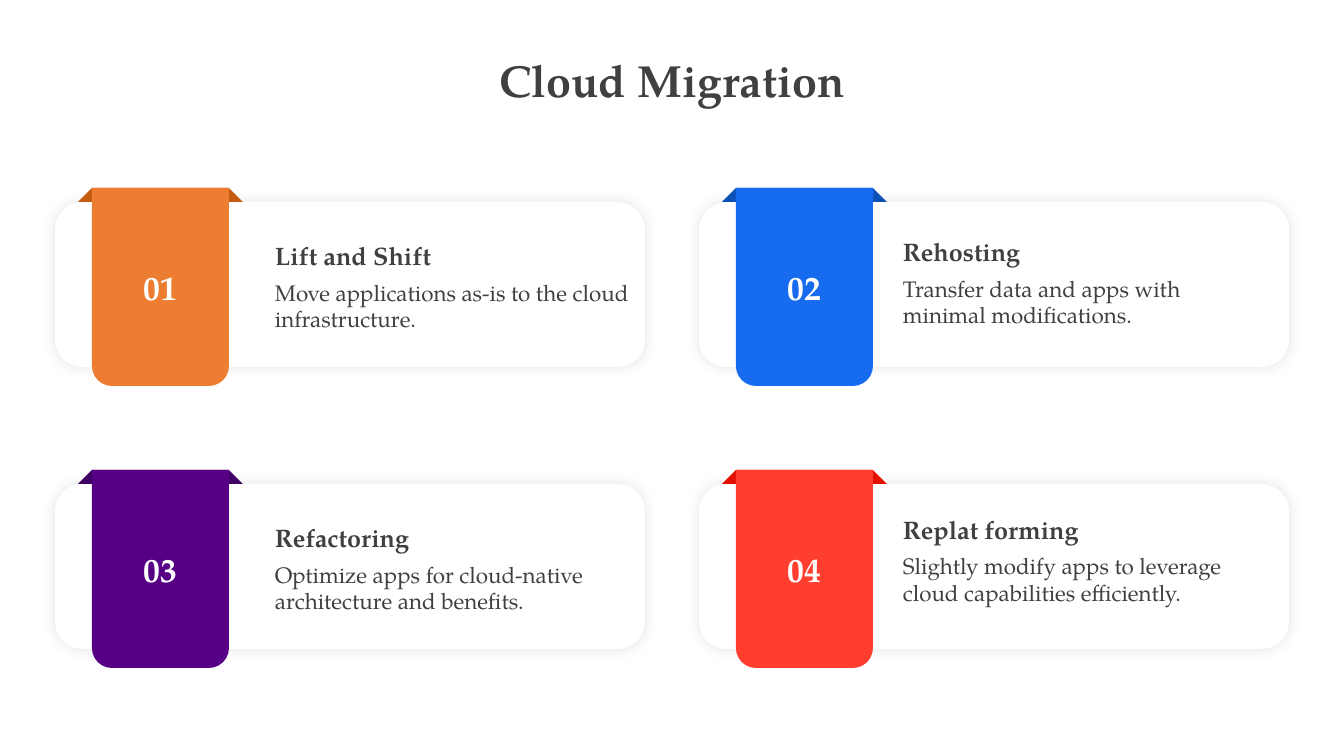
from dataclasses import dataclass

from lxml.etree import SubElement
from pptx import Presentation
from pptx.dml.color import RGBColor
from pptx.enum.shapes import MSO_SHAPE
from pptx.enum.text import MSO_ANCHOR, MSO_AUTO_SIZE, PP_ALIGN
from pptx.oxml.ns import qn
from pptx.shapes.autoshape import Shape
from pptx.slide import Slide
from pptx.text.text import TextFrame
from pptx.util import Emu, Pt

FONT = "TeX Gyre Pagella"
COLORS = {
    "text": "404040", "white": "FFFFFF", "shade": "000000",
    "orange": "ED7D31", "rust": "C55A11",
    "blue": "176BEF", "navy": "0D4FB8",
    "purple": "560086", "plum": "400065",
    "red": "FF3E30", "crimson": "E30F00",
}
WIDE, HIGH = 1344, 756
LEFT, TOP = 55, 202
STEP_X, STEP_Y = 644, 282
CARD_W, CARD_H = 590, 165
BAND_X, BAND_W, BAND_H = 37, 137, 198
FOLD = 14
ROUND = 20


@dataclass(frozen=True)
class Card:
    head: str
    body: str
    fill: str
    fold: str
    text_x: int
    text_y: int


CARDS = [
    Card("Lift and Shift", "Move applications as-is to the cloud infrastructure.",
         "orange", "rust", 210, 33),
    Card("Rehosting", "Transfer data and apps with minimal modifications.",
         "blue", "navy", 194, 29),
    Card("Refactoring", "Optimize apps for cloud-native architecture and benefits.",
         "purple", "plum", 210, 33),
    Card("Replat forming", "Slightly modify apps to leverage cloud capabilities efficiently.",
         "red", "crimson", 194, 25),
]


def px(size: int) -> Emu:
    return Emu(round(size * 914400 / 100.8))


def add_form(slide: Slide, kind: MSO_SHAPE, x: int, y: int, w: int, h: int,
             color: str) -> Shape:
    form = slide.shapes.add_shape(kind, px(x), px(y), px(w), px(h))
    form.shadow.inherit = False
    form.fill.solid()
    form.fill.fore_color.rgb = RGBColor.from_string(COLORS[color])
    form.line.fill.background()
    return form


def add_glow(form: Shape) -> None:
    """Put a soft, centred shadow round the form."""
    effects = form._element.spPr.find(qn("a:effectLst"))
    shadow = SubElement(effects, qn("a:outerShdw"), blurRad=str(Pt(10)),
                        dist="0", algn="ctr", rotWithShape="0")
    color = SubElement(shadow, qn("a:srgbClr"), val=COLORS["shade"])
    SubElement(color, qn("a:alpha"), val="10000")


def write(frame: TextFrame, lines: list[tuple[str, int, bool]], color: str = "text",
          align: PP_ALIGN = PP_ALIGN.LEFT) -> None:
    """Fill the frame with one paragraph for each (text, size, bold)."""
    for i, (text, size, bold) in enumerate(lines):
        para = frame.add_paragraph() if i else frame.paragraphs[0]
        para.text = text
        para.alignment = align
        para.font.name = FONT
        para.font.size = Pt(size)
        para.font.bold = bold
        para.font.color.rgb = RGBColor.from_string(COLORS[color])
        if i < len(lines) - 1:
            para.space_after = Pt(6)


def add_text(slide: Slide, x: int, y: int, w: int, h: int) -> TextFrame:
    frame = slide.shapes.add_textbox(px(x), px(y), px(w), px(h)).text_frame
    frame.word_wrap = True
    frame.auto_size = MSO_AUTO_SIZE.SHAPE_TO_FIT_TEXT
    return frame


def add_card(slide: Slide, card: Card, index: int) -> None:
    row, col = divmod(index, 2)
    x, y = LEFT + col * STEP_X, TOP + row * STEP_Y
    add_glow(add_form(slide, MSO_SHAPE.ROUNDED_RECTANGLE, x, y, CARD_W, CARD_H, "white"))

    band_x, band_y = x + BAND_X, y - FOLD
    fold = add_form(slide, MSO_SHAPE.TRAPEZOID, band_x - FOLD, band_y,
                    BAND_W + 2 * FOLD, FOLD, card.fold)
    fold.adjustments[0] = 1

    band = add_form(slide, MSO_SHAPE.ROUND_2_SAME_RECTANGLE, band_x, band_y,
                    BAND_W, BAND_H, card.fill)
    band.adjustments[0] = 0
    band.adjustments[1] = ROUND / BAND_W
    frame = band.text_frame
    frame.vertical_anchor = MSO_ANCHOR.MIDDLE
    frame.margin_top, frame.margin_bottom = px(6), 0
    write(frame, [(f"{index + 1:02}", 24, True)], "white", PP_ALIGN.CENTER)

    frame = add_text(slide, x + card.text_x, y + card.text_y, 375, 104)
    write(frame, [(card.head, 18, True), (card.body, 16, False)])


def main() -> None:
    deck = Presentation()
    deck.slide_width, deck.slide_height = px(WIDE), px(HIGH)
    slide = deck.slides.add_slide(deck.slide_layouts[6])
    title = add_text(slide, 0, 48, WIDE, 64)
    write(title, [("Cloud Migration", 32, True)], align=PP_ALIGN.CENTER)
    for index, card in enumerate(CARDS):
        add_card(slide, card, index)
    deck.save("out.pptx")


if __name__ == "__main__":
    main()
